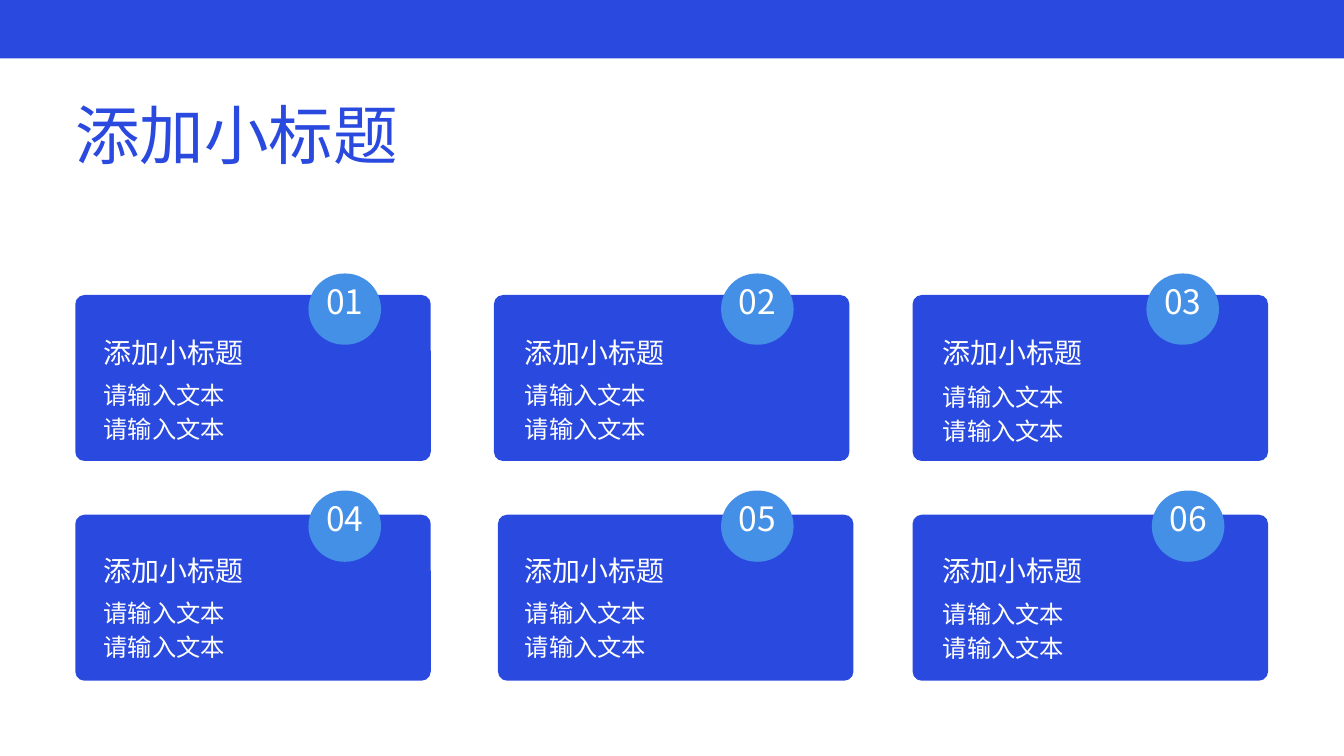
from pptx import Presentation
from pptx.dml.color import RGBColor
from pptx.enum.shapes import MSO_SHAPE as Shape
from pptx.enum.text import MSO_ANCHOR as Anchor, PP_ALIGN as Align
from pptx.util import Inches, Pt

COLORS = {"blue": "2A4ADF", "sky": "4590E7", "white": "FFFFFF"}
TITLE = "添加小标题"
BODY = ["请输入文本", "请输入文本"]
CARD_TOPS = [4.39, 7.66]
BADGE_TOPS = [4.07, 7.3]
HEADING_TOPS = [4.91, 8.16]
BODY_TOPS = [5.59, 8.83]
CARD_LEFTS = [[1.12, 7.35, 13.58], [1.12, 7.41, 13.58]]
BADGE_LEFTS = [[4.59, 10.73, 17.06], [4.59, 10.73, 17.14]]
TEXT_LEFTS = [1.54, 7.81, 14.03]
BODY_SHIFTS = [0, 0, 0.02]

deck = Presentation()
deck.slide_width, deck.slide_height = Inches(20), Inches(11.25)
page = deck.slides.add_slide(deck.slide_layouts[6])


def add_block(kind, color, left, top, width, height, rounding=None):
    block = page.shapes.add_shape(
        kind, Inches(left), Inches(top), Inches(width), Inches(height))
    block.shadow.inherit = False
    block.fill.solid()
    block.fill.fore_color.rgb = RGBColor.from_string(COLORS[color])
    block.line.fill.background()
    if rounding is not None:
        block.adjustments[0] = rounding


def add_text(lines, left, top, width, height, size, spacing, color="white",
             font="Calibri", align=Align.JUSTIFY, anchor=Anchor.TOP, inset=0):
    box = page.shapes.add_textbox(
        Inches(left), Inches(top), Inches(width), Inches(height))
    frame = box.text_frame
    frame.word_wrap = True
    frame.vertical_anchor = anchor
    for side in ("left", "top", "right", "bottom"):
        setattr(frame, f"margin_{side}", Inches(inset))
    for index, line in enumerate(lines):
        para = frame.add_paragraph() if index else frame.paragraphs[0]
        para.alignment = align
        para.line_spacing = Pt(spacing)
        span = para.add_run()
        span.text = line
        for name, value in {"name": font, "size": Pt(size)}.items():
            setattr(span.font, name, value)
        span.font.color.rgb = RGBColor.from_string(COLORS[color])


add_block(Shape.RECTANGLE, "blue", 0, 0, 20, 0.87)
add_text([TITLE], 1.12, 1.22, 5.24, 1.36, 69.1, 96.8, color="blue")

for row in range(2):
    for column in range(3):
        badge_left, badge_top = BADGE_LEFTS[row][column], BADGE_TOPS[row]
        text_left = TEXT_LEFTS[column]
        add_block(Shape.ROUNDED_RECTANGLE, "blue", CARD_LEFTS[row][column],
                  CARD_TOPS[row], 5.29, 2.47, 0.055)
        add_block(Shape.ROUNDED_RECTANGLE, "sky", badge_left, badge_top,
                  1.08, 1.06, 0.5)
        add_text([f"{row * 3 + column + 1:02}"], badge_left, badge_top - 0.32,
                 1.08, 1.37, 36, 50.4, font="Noto Sans CJK JP",
                 align=Align.CENTER, anchor=Anchor.MIDDLE, inset=0.06)
        add_text([TITLE], text_left, HEADING_TOPS[row], 3.12, 0.59, 30, 42)
        add_text(BODY, text_left, BODY_TOPS[row] + BODY_SHIFTS[column],
                 3.12, 1.02, 26, 36.4)

deck.save("out.pptx")
